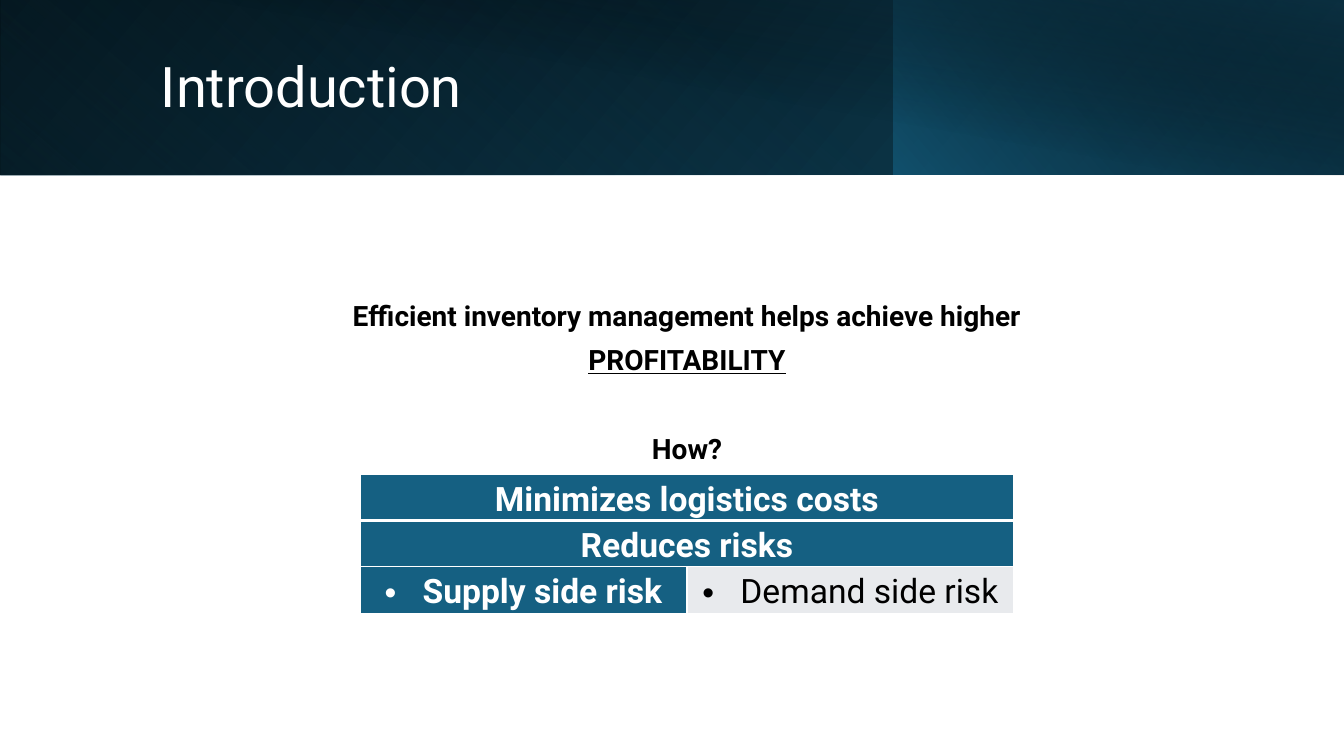
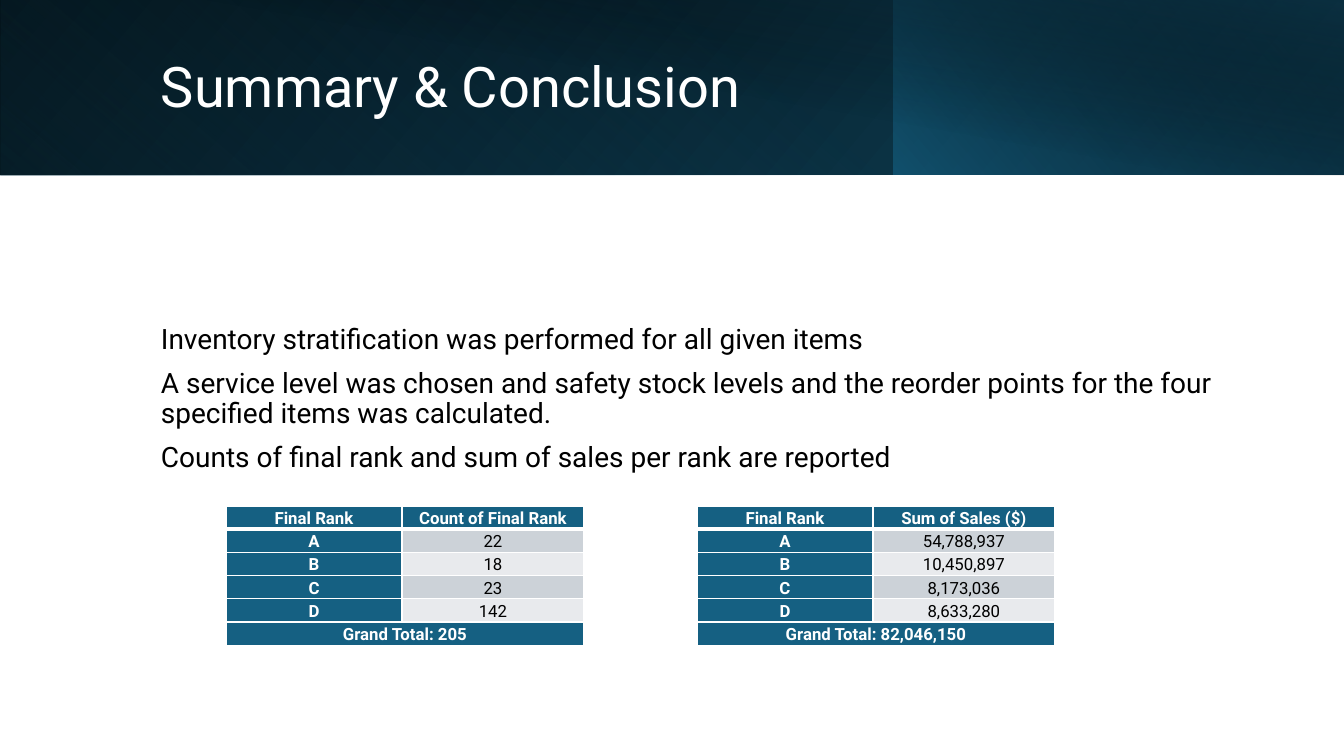
from lxml import etree
from pptx import Presentation
from pptx import util as u
from pptx.dml.color import RGBColor
from pptx.enum import shapes, text
from pptx.oxml.ns import qn

PX = 12192000 / 1344
FONT = "Roboto"
WHITE = RGBColor(0xFF, 0xFF, 0xFF)
BLACK = RGBColor(0x00, 0x00, 0x00)
TEAL = RGBColor(0x15, 0x60, 0x82)
DEEP_TEAL = RGBColor(0x10, 0x48, 0x62)
NAVY = RGBColor(0x0B, 0x30, 0x41)
STRIPES = (RGBColor(0xE8, 0xEA, 0xED), RGBColor(0xCC, 0xD2, 0xD8))

BANDS = (
    ((0, 0, 1344, 175), True, 0, 140, ((0, BLACK, 100), (100, DEEP_TEAL, 100))),
    ((0, 0, 895, 175), True, 180, 230, ((20, TEAL, 0), (100, NAVY, 55))),
    ((894, 0, 450, 175), True, 0, 220, ((0, TEAL, 66), (100, BLACK, 30))),
    ((50, 0, 1294, 176), False, 0, 280, ((50, BLACK, 0), (99, NAVY, 52))),
)


def px(length):
    """Turn px into EMU."""
    return u.Emu(round(length * PX))


def add_child(parent, tag, **attributes):
    """Append a drawing element with attributes to its parent."""
    values = {name: str(value) for name, value in attributes.items()}
    return etree.SubElement(parent, qn(tag), values)


def set_gradient(shape, angle, stops):
    """Fill a shape with a linear gradient of (position, colour, opacity) stops."""
    shape.fill.gradient()
    gradient = shape._element.spPr.find(qn("a:gradFill"))
    for child in list(gradient):
        gradient.remove(child)
    gradient.set("rotWithShape", "1")
    stop_list = add_child(gradient, "a:gsLst")
    for position, colour, opacity in stops:
        stop = add_child(stop_list, "a:gs", pos=position * 1000)
        shade = add_child(stop, "a:srgbClr", val=colour)
        add_child(shade, "a:alpha", val=opacity * 1000)
    add_child(gradient, "a:lin", ang=angle * 60000, scaled=0)


def style_paragraph(para, size, colour, bold=False, spacing=0.9):
    """Set the font and line spacing of a paragraph."""
    para.line_spacing = spacing
    para.font.name = FONT
    para.font.size = u.Pt(size)
    para.font.bold = bold
    para.font.color.rgb = colour


def add_text(page, box, lines, size, colour, anchor, bold=False, align=None):
    """Write (text, space before) lines in a box and return the paragraphs."""
    frame = page.shapes.add_textbox(*map(px, box)).text_frame
    frame.word_wrap = True
    frame.vertical_anchor = anchor
    paragraphs = []
    for index, (line, gap) in enumerate(lines):
        para = frame.add_paragraph() if index else frame.paragraphs[0]
        para.text = line
        para.alignment = align
        para.space_before = u.Pt(gap)
        style_paragraph(para, size, colour, bold)
        paragraphs.append(para)
    return paragraphs


def add_header(page, title):
    """Draw the layered gradient header with its title."""
    for box, flipped, rotation, angle, stops in BANDS:
        band = page.shapes.add_shape(shapes.MSO_SHAPE.RECTANGLE, *map(px, box))
        band.shadow.inherit = False
        band.line.fill.background()
        band.rotation = rotation
        if flipped:
            band._element.spPr.find(qn("a:xfrm")).set("flipH", "1")
        set_gradient(band, angle, stops)
    add_text(page, (151, 32, 1091, 114), [(title, 0)], 40, WHITE, text.MSO_ANCHOR.MIDDLE)


def add_borders(cell, row):
    """Give a cell white borders, thicker below the first row."""
    widths = {"L": 1, "R": 1, "T": 3 if row == 1 else 1, "B": 3 if row == 0 else 1}
    for side, width in widths.items():
        line = add_child(cell._tc.get_or_add_tcPr(), f"a:ln{side}", w=u.Pt(width))
        add_child(add_child(line, "a:solidFill"), "a:srgbClr", val=WHITE)


def fill_cell(cell, content, fill, size, emphasised, bulleted):
    """Fill a table cell and write its centred text."""
    cell.fill.solid()
    cell.fill.fore_color.rgb = fill
    cell.margin_left = cell.margin_right = px(7)
    cell.margin_top = cell.margin_bottom = 0
    para = cell.text_frame.paragraphs[0]
    para.text = content
    para.alignment = text.PP_ALIGN.CENTER
    if bulleted:
        properties = para._p.get_or_add_pPr()
        properties.set("marL", str(px(38)))
        properties.set("indent", str(px(-38)))
        add_child(properties, "a:buFont", typeface="Arial")
        add_child(properties, "a:buChar", char="•")
    style_paragraph(para, size, WHITE if emphasised else BLACK, emphasised, 1.15)


def add_rank_table(page, left, top, widths, row_height, rows, size, bullet_row=None):
    """Draw a two-column table; a row with one entry spans both columns."""
    frame = page.shapes.add_table(
        len(rows), len(widths), px(left), px(top), px(sum(widths)), px(row_height * len(rows)))
    table = frame.table
    table.first_row = table.horz_banding = False
    for column, width in zip(table.columns, widths):
        column.width = px(width)
    for r, entries in enumerate(rows):
        table.rows[r].height = px(row_height)
        for c in range(len(widths)):
            add_borders(table.cell(r, c), r)
        if len(entries) == 1:
            table.cell(r, 0).merge(table.cell(r, len(widths) - 1))
        for c, content in enumerate(entries):
            emphasised = r == 0 or c == 0
            fill = TEAL if emphasised else STRIPES[r % 2]
            fill_cell(table.cell(r, c), content, fill, size, emphasised, r == bullet_row)


def build_introduction(page):
    """Build the introduction slide."""
    add_header(page, "Introduction")
    lines = [("Efficient inventory management helps achieve higher", 0),
             ("PROFITABILITY", 10), ("How?", 42)]
    paragraphs = add_text(page, (151, 297, 1072, 172), lines, 20, BLACK,
                          text.MSO_ANCHOR.TOP, True, text.PP_ALIGN.CENTER)
    paragraphs[1].font.underline = True
    rows = [["Minimizes logistics costs"], ["Reduces risks"],
            ["Supply side risk", "Demand side risk"]]
    add_rank_table(page, 360, 474, (327, 327), 44, rows, 24, bullet_row=2)


def build_summary(page):
    """Build the summary slide with its two rank tables."""
    add_header(page, "Summary & Conclusion")
    lines = [
        ("Inventory stratification was performed for all given items", 0),
        ("A service level was chosen and safety stock levels and the reorder points "
         "for the four specified items was calculated.", 10),
        ("Counts of final rank and sum of sales per rank are reported", 10)]
    add_text(page, (151, 320, 1072, 162), lines, 20, BLACK, text.MSO_ANCHOR.TOP)
    summaries = (
        (226, "Count of Final Rank", ("22", "18", "23", "142"), "205"),
        (697, "Sum of Sales ($)",
         ("54,788,937", "10,450,897", "8,173,036", "8,633,280"), "82,046,150"))
    for left, heading, values, total in summaries:
        rows = [["Final Rank", heading], *map(list, zip("ABCD", values)),
                [f"Grand Total: {total}"]]
        add_rank_table(page, left, 506, (176, 182), 22, rows, 12)


def main():
    """Build and save the deck."""
    deck = Presentation()
    deck.slide_width, deck.slide_height = px(1344), px(756)
    for build in (build_introduction, build_summary):
        build(deck.slides.add_slide(deck.slide_layouts[6]))
    deck.save("out.pptx")


if __name__ == "__main__":
    main()
